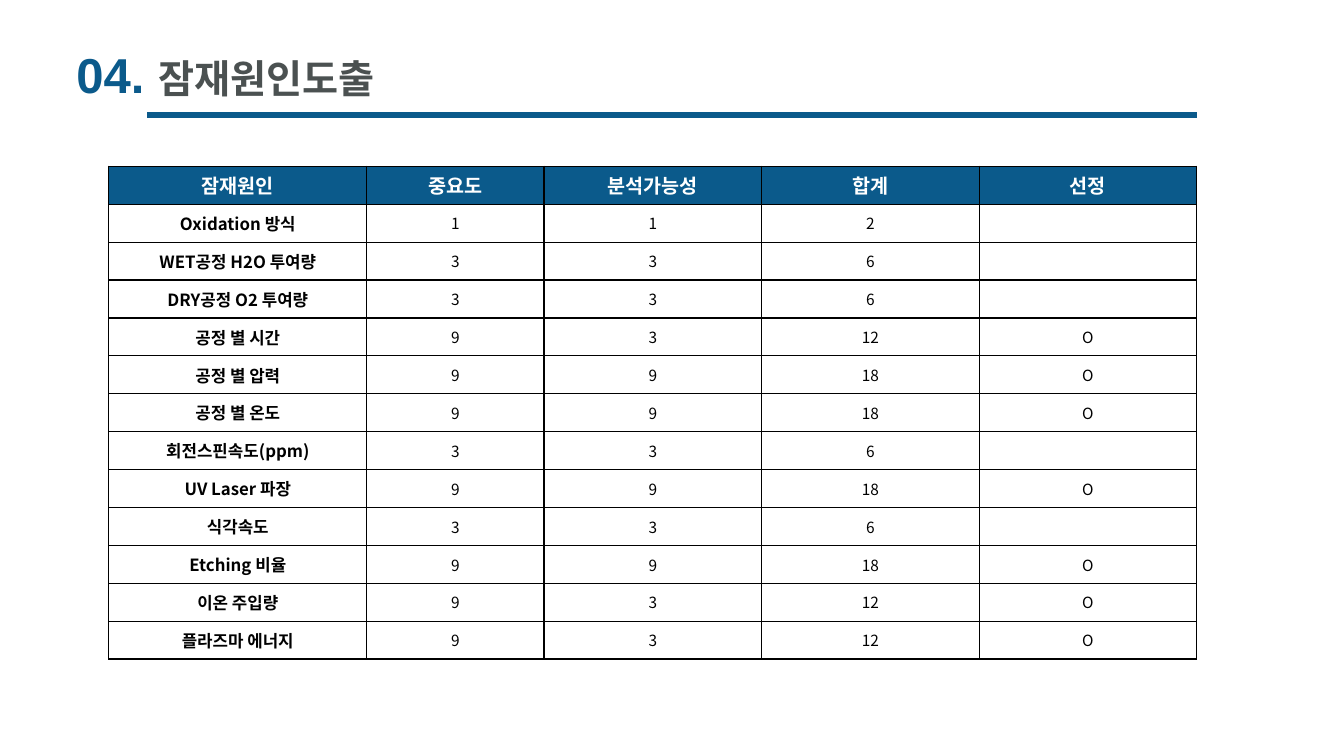
from dataclasses import dataclass

import pptx
import pptx.dml.color
import pptx.enum.shapes
import pptx.enum.text
import pptx.oxml.ns
import pptx.util
from lxml import etree

Inches = pptx.util.Inches
Pt = pptx.util.Pt
qn = pptx.oxml.ns.qn


@dataclass(frozen=True)
class Theme:
    blue: str = "0B5A8B"
    gray: str = "4B5151"
    black: str = "000000"
    white: str = "FFFFFF"
    latin: str = "Arial"
    korean: str = "Noto Sans CJK KR"
    number_size: int = 35
    title_size: int = 28
    header_size: int = 14
    cause_size: int = 12
    score_size: int = 11
    rule_width: int = 4
    border_width: int = 1


THEME = Theme()

HEADERS = ["잠재원인", "중요도", "분석가능성", "합계", "선정"]
# Cause, importance, feasibility of analysis
CAUSES = [
    ("Oxidation 방식", 1, 1),
    ("WET공정 H2O 투여량", 3, 3),
    ("DRY공정 O2 투여량", 3, 3),
    ("공정 별 시간", 9, 3),
    ("공정 별 압력", 9, 9),
    ("공정 별 온도", 9, 9),
    ("회전스핀속도(ppm)", 3, 3),
    ("UV Laser 파장", 9, 9),
    ("식각속도", 3, 3),
    ("Etching 비율", 9, 9),
    ("이온 주입량", 9, 3),
    ("플라즈마 에너지", 9, 3),
]
SELECTION_THRESHOLD = 12
COLUMN_WIDTHS = [2.56, 1.76, 2.16, 2.16, 2.16]


def rgb(color):
    return pptx.dml.color.RGBColor.from_string(color)


def style_font(font, name, size, color, bold):
    font.name = name
    font.size = Pt(size)
    font.color.rgb = rgb(color)
    font.bold = bold


def set_east_asian_font(properties):
    """Give Korean letters their own typeface, after the Latin one."""
    east_asian = etree.Element(qn("a:ea"), typeface=THEME.korean)
    properties.find(qn("a:latin")).addnext(east_asian)


def add_heading(slide, left, top, width, height):
    heading = slide.shapes.add_textbox(
        Inches(left), Inches(top), Inches(width), Inches(height))
    heading.text_frame.word_wrap = True
    line = heading.text_frame.paragraphs[0]
    for text, size, color in [
        ("04. ", THEME.number_size, THEME.blue),
        ("잠재원인도출", THEME.title_size, THEME.gray),
    ]:
        part = line.add_run()
        part.text = text
        style_font(part.font, THEME.latin, size, color, True)
        set_east_asian_font(part.font._element)

    rule_top = Inches(top + 0.75)
    rule = slide.shapes.add_connector(
        pptx.enum.shapes.MSO_CONNECTOR.STRAIGHT,
        Inches(left + 0.8), rule_top, Inches(left + 11.21), rule_top)
    rule.line.color.rgb = rgb(THEME.blue)
    rule.line.width = Pt(THEME.rule_width)
    etree.SubElement(rule._element.spPr, qn("a:effectLst"))


def add_borders(cell):
    """Outline all four sides; borders must precede the fill in tcPr."""
    properties = cell._tc.get_or_add_tcPr()
    for index, side in enumerate(["lnL", "lnR", "lnT", "lnB"]):
        border = etree.Element(
            qn(f"a:{side}"), w=str(Pt(THEME.border_width)))
        fill = etree.SubElement(border, qn("a:solidFill"))
        etree.SubElement(fill, qn("a:srgbClr"), val=THEME.black)
        properties.insert(index, border)


def fill_cell(cell, text, size, color, bold, background):
    cell.text = text
    cell.vertical_anchor = pptx.enum.text.MSO_ANCHOR.MIDDLE
    cell.margin_top = cell.margin_bottom = Inches(0.03)
    cell.fill.solid()
    cell.fill.fore_color.rgb = rgb(background)
    paragraph = cell.text_frame.paragraphs[0]
    paragraph.alignment = pptx.enum.text.PP_ALIGN.CENTER
    style_font(paragraph.font, THEME.korean, size, color, bold)
    set_east_asian_font(paragraph.font._element)
    add_borders(cell)


def cause_row(cause, importance, feasibility):
    total = importance + feasibility
    selected = "O" if total >= SELECTION_THRESHOLD else ""
    return [cause, str(importance), str(feasibility), str(total), selected]


def add_cause_table(slide, left, top, width, height):
    rows = [HEADERS] + [cause_row(*cause) for cause in CAUSES]
    table = slide.shapes.add_table(
        len(rows), len(HEADERS),
        Inches(left), Inches(top), Inches(width), Inches(height)).table
    for column, share in zip(table.columns, COLUMN_WIDTHS):
        column.width = Inches(width * share / sum(COLUMN_WIDTHS))
    for row in table.rows:
        row.height = Inches(height / len(rows))

    header_style = (THEME.header_size, THEME.white, True, THEME.blue)
    cause_style = (THEME.cause_size, THEME.black, True, THEME.white)
    score_style = (THEME.score_size, THEME.black, False, THEME.white)
    for row_index, values in enumerate(rows):
        for column_index, text in enumerate(values):
            if row_index == 0:
                style = header_style
            else:
                style = cause_style if column_index == 0 else score_style
            fill_cell(table.cell(row_index, column_index), text, *style)


def main():
    presentation = pptx.Presentation()
    presentation.slide_width = Inches(13.33)
    presentation.slide_height = Inches(7.5)
    slide = presentation.slides.add_slide(presentation.slide_layouts[6])
    add_heading(slide, 0.66, 0.39, 6.7, 0.69)
    add_cause_table(slide, 1.08, 1.65, 10.79, 4.89)
    presentation.save("out.pptx")


if __name__ == "__main__":
    main()
